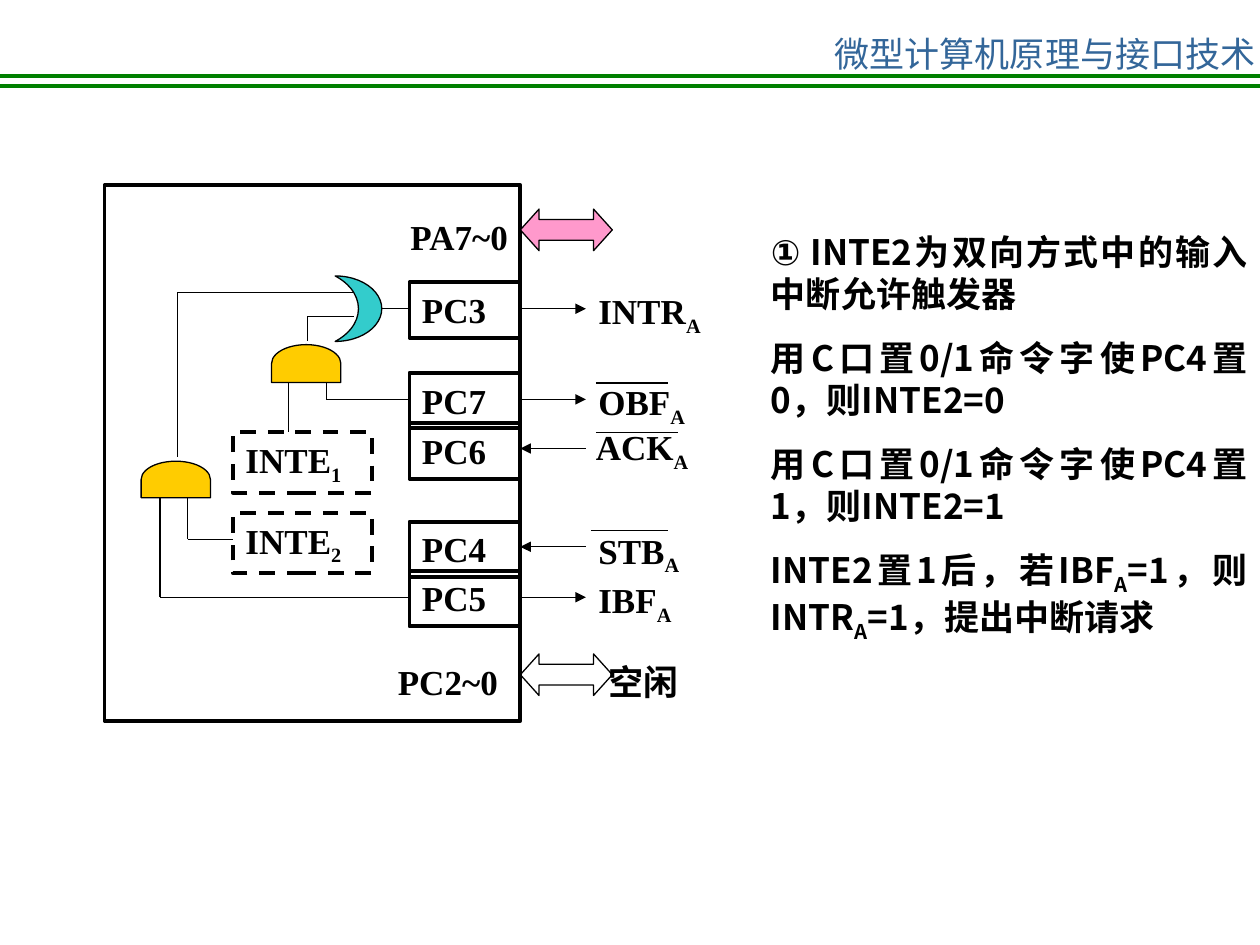
from lxml.etree import SubElement
from pptx import Presentation
from pptx.dml.color import RGBColor
from pptx.enum.dml import MSO_LINE
from pptx.enum.shapes import MSO_CONNECTOR, MSO_SHAPE
from pptx.enum.text import MSO_ANCHOR, PP_ALIGN
from pptx.oxml.ns import qn
from pptx.util import Inches, Pt

COLORS = {"ink": "000000", "rule": "008000", "title": "336699",
          "and_gate": "FFCC00", "or_gate": "33CCCC", "port": "FF99CC"}
CJK = "Noto Sans CJK SC"
SERIF = "Times New Roman"

deck = Presentation()
deck.slide_width, deck.slide_height = Inches(10), Inches(7.5)
COL, ROW = deck.slide_width // 1000, deck.slide_height // 750
slide = deck.slides.add_slide(deck.slide_layouts[6])


def write(text, at, font=SERIF, color="ink", bold=True, align=PP_ALIGN.LEFT,
          wrap=True, border=None, lead=None):
    x, y, w, h = at
    box = slide.shapes.add_shape(MSO_SHAPE.RECTANGLE, x * COL, y * ROW, w * COL, h * ROW)
    box.shadow.inherit = False
    box.fill.background()
    if border:
        box.line.color.rgb = RGBColor.from_string(COLORS["ink"])
        box.line.width = Pt(2.25)
        box.line.dash_style = border
    else:
        box.line.fill.background()
    frame = box.text_frame
    frame.word_wrap = wrap
    frame.vertical_anchor = MSO_ANCHOR.TOP
    for number, content in enumerate(text.split("\n")):
        paragraph = frame.paragraphs[0] if number == 0 else frame.add_paragraph()
        paragraph.alignment = align
        paragraph.space_before = Pt(12.5)
        paragraph.line_spacing = lead
        pieces = content.replace("①", "①|").replace("_A", "|_A|").replace("_1", "|_1")
        for piece in filter(None, pieces.replace("_2", "|_2").split("|")):
            run = paragraph.add_run()
            run.text = piece.lstrip("_")
            run.font.size, run.font.bold = Pt(20), bold
            run.font.name = "Arial" if piece == "①" else font
            run.font.color.rgb = RGBColor.from_string(COLORS[color])
            properties = run.font._element
            SubElement(properties, qn("a:ea")).set("typeface", CJK)
            if piece.startswith("_"):
                properties.set("baseline", "-25000")


def wire(*points, color="ink", width=0.75, arrow=None):
    for (x1, y1), (x2, y2) in zip(points, points[1:]):
        link = slide.shapes.add_connector(
            MSO_CONNECTOR.STRAIGHT, x1 * COL, y1 * ROW, x2 * COL, y2 * ROW)
        link.line.color.rgb = RGBColor.from_string(COLORS[color])
        link.line.width = Pt(width)
        if arrow:
            SubElement(link.line._get_or_add_ln(), qn(arrow)).set("type", "triangle")
        SubElement(link._element.spPr, qn("a:effectLst"))


for rule_y in (60, 68):
    wire((0, rule_y), (1000, rule_y), color="rule", width=2.25)
write("微型计算机原理与接口技术", (689, 21, 281, 24), font=CJK, color="title",
      bold=False, align=PP_ALIGN.CENTER, wrap=False)

write("① INTE2为双向方式中的输入中断允许触发器\n"
      "用C口置0/1命令字使PC4置0，则INTE2=0\n"
      "用C口置0/1命令字使PC4置1，则INTE2=1\n"
      "INTE2置1后，若IBF_A=1，则INTR_A=1，提出中断请求",
      (602, 178, 398, 338), font=CJK, align=PP_ALIGN.JUSTIFY)

for preset, at, turn, adjustments, fill, weight in (
        (MSO_SHAPE.RECTANGLE, (83, 147, 330, 425), 0, (), None, 2.25),
        (MSO_SHAPE.FLOWCHART_DELAY, (228, 261, 30, 55), 270, (), "and_gate", 0.75),
        (MSO_SHAPE.FLOWCHART_DELAY, (125, 353, 29, 55), 270, (), "and_gate", 0.75),
        (MSO_SHAPE.MOON, (266, 219, 37, 52), 180, (0.5,), "or_gate", 0.75),
        (MSO_SHAPE.LEFT_RIGHT_ARROW, (413, 166, 73, 33), 0, (0.5, 0.45), "port", 0.75),
        (MSO_SHAPE.LEFT_RIGHT_ARROW, (413, 519, 73, 33), 0, (0.5, 0.45), None, 0.75)):
    x, y, w, h = at
    part = slide.shapes.add_shape(preset, x * COL, y * ROW, w * COL, h * ROW)
    part.shadow.inherit = False
    part.rotation = turn
    for index, value in enumerate(adjustments):
        part.adjustments[index] = value
    if fill:
        part.fill.solid()
        part.fill.fore_color.rgb = RGBColor.from_string(COLORS[fill])
    else:
        part.fill.background()
    part.line.color.rgb = RGBColor.from_string(COLORS["ink"])
    part.line.width = Pt(weight)

for pin, pin_y in (("PC3", 224), ("PC7", 296), ("PC6", 336), ("PC4", 414), ("PC5", 453)):
    write(pin, (325, pin_y, 88, 44), border=MSO_LINE.SOLID)
for flag, flag_y in (("INTE_1", 343), ("INTE_2", 407)):
    write(flag, (185, flag_y, 110, 48), border=MSO_LINE.DASH)
write("PA7~0", (266, 166, 147, 44), align=PP_ALIGN.RIGHT)
write("PC2~0", (244, 519, 161, 44), align=PP_ALIGN.RIGHT)
write("空闲", (473, 519, 77, 44))

OUTPUT, INPUT = "a:tailEnd", "a:headEnd"
for signal, x, y, wire_y, direction in (
        ("INTR_A", 465, 225, 245, OUTPUT), ("OBF_A", 465, 297, 317, OUTPUT),
        ("ACK_A", 463, 333, 356, INPUT), ("STB_A", 465, 415, 434, INPUT),
        ("IBF_A", 465, 454, 474, OUTPUT)):
    write(signal, (x, y, 109, 48))
    wire((413, wire_y), (465, wire_y), arrow=direction)
for bar_left, bar_right, bar_y in ((473, 530, 304), (473, 538, 343), (469, 530, 421)):
    wire((bar_left, bar_y), (bar_right, bar_y))

for route in (((259, 304), (259, 317), (325, 317)),
              ((229, 304), (229, 343)),
              ((325, 474), (127, 474), (127, 395)),
              ((149, 395), (149, 428), (185, 428)),
              ((303, 245), (325, 245)),
              ((281, 251), (244, 251), (244, 271)),
              ((281, 232), (141, 232), (141, 363))):
    wire(*route)

deck.save("out.pptx")
